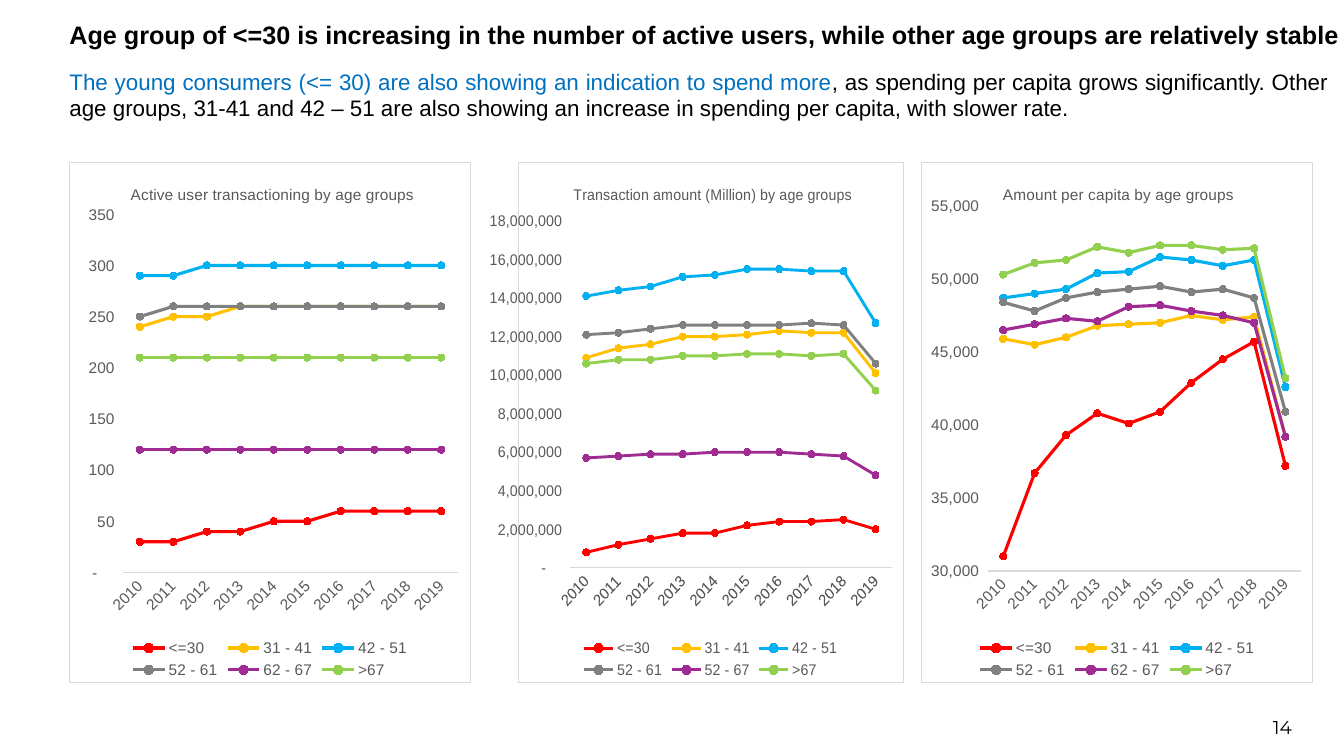
import pptx
import pptx.chart.data
import pptx.dml.color
import pptx.enum.chart
import pptx.enum.text
import pptx.oxml
import pptx.oxml.ns
import pptx.util
from pptx.util import Cm

RGBColor = pptx.dml.color.RGBColor
BLACK = RGBColor(0x00, 0x00, 0x00)
BLUE = RGBColor(0x00, 0x70, 0xC0)
GRAY = RGBColor(0x59, 0x59, 0x59)
SERIES_COLORS = [
    RGBColor(0xFF, 0x00, 0x00), RGBColor(0xFF, 0xC0, 0x00), RGBColor(0x00, 0xB0, 0xF0),
    RGBColor(0x80, 0x80, 0x80), RGBColor(0xA0, 0x2B, 0x93), RGBColor(0x92, 0xD0, 0x50),
]
BORDER = RGBColor(0xD9, 0xD9, 0xD9)

HEADLINE = ("Age group of <=30 is increasing in the number of active users, "
            "while other age groups are relatively stable")
SUMMARY = [
    ("The young consumers (<= 30) are also showing an indication to spend more", BLUE),
    (", as spending per capita grows significantly. Other age groups, 31-41 and 42 – 51 "
     "are also showing an increase in spending per capita, with slower rate.", BLACK),
]
PAGE_NUMBER = "14"
YEARS = [str(year) for year in range(2010, 2020)]
NUMBER_FORMAT = '_(* #,##0_);_(* \\(#,##0\\);_(* "-"??_);_('
CHART_TOP, CHART_HEIGHT = 4.09, 13.13
CHARTS = [
    {
        "title": "Transaction amount (Million) by age groups",
        "left": 12.24, "width": 10.54, "title_at": (0.137, 0.035),
        "plot": (0.135, 0.112, 0.835, 0.667), "year_size": 11.5,
        "minimum": None, "unit": 100000,
        "series": [
            ("<=30", [8, 12, 15, 18, 18, 22, 24, 24, 25, 20]),
            ("31 - 41", [109, 114, 116, 120, 120, 121, 123, 122, 122, 101]),
            ("42 - 51", [141, 144, 146, 151, 152, 155, 155, 154, 154, 127]),
            ("52 - 61", [121, 122, 124, 126, 126, 126, 126, 127, 126, 106]),
            ("52 - 67", [57, 58, 59, 59, 60, 60, 60, 59, 58, 48]),
            (">67", [106, 108, 108, 110, 110, 111, 111, 110, 111, 92]),
        ],
    },
    {
        "title": "Active user transactioning by age groups",
        "left": 1.75, "width": 10.11, "title_at": (0.145, 0.035),
        "plot": (0.133, 0.099, 0.837, 0.689), "year_size": 11,
        "minimum": None, "unit": 10,
        "series": [
            ("<=30", [3, 3, 4, 4, 5, 5, 6, 6, 6, 6]),
            ("31 - 41", [24, 25, 25, 26, 26, 26, 26, 26, 26, 26]),
            ("42 - 51", [29, 29, 30, 30, 30, 30, 30, 30, 30, 30]),
            ("52 - 61", [25, 26, 26, 26, 26, 26, 26, 26, 26, 26]),
            ("62 - 67", [12] * 10),
            (">67", [21] * 10),
        ],
    },
    {
        "title": "Amount per capita by age groups",
        "left": 23.22, "width": 9.88, "title_at": (0.2, 0.035),
        "plot": (0.168, 0.083, 0.802, 0.702), "year_size": 11,
        "minimum": 30000, "unit": 100,
        "series": [
            ("<=30", [310, 367, 393, 408, 401, 409, 429, 445, 457, 372]),
            ("31 - 41", [459, 455, 460, 468, 469, 470, 475, 472, 474, 392]),
            ("42 - 51", [487, 490, 493, 504, 505, 515, 513, 509, 513, 426]),
            ("52 - 61", [484, 478, 487, 491, 493, 495, 491, 493, 487, 409]),
            ("62 - 67", [465, 469, 473, 471, 481, 482, 478, 475, 470, 392]),
            (">67", [503, 511, 513, 522, 518, 523, 523, 520, 521, 432]),
        ],
    },
]


def apply(target, values):
    """Set every attribute named in a dict of format values."""
    for name, value in values.items():
        setattr(target, name, value)


def format_font(font, size, color, bold=False, name="Arial"):
    """Give a font its face, size, weight and colour."""
    apply(font, {"name": name, "size": pptx.util.Pt(size), "bold": bold})
    font.color.rgb = color


def format_line(line, color, width):
    """Give a line its colour and width."""
    line.color.rgb = color
    line.width = pptx.util.Pt(width)


def fill_text(shape, runs, alignment, anchor, margin, size, spacing=1.0, **font_values):
    """Write coloured runs as the single paragraph of a shape."""
    frame = shape.text_frame
    apply(frame, {
        "word_wrap": True, "auto_size": pptx.enum.text.MSO_AUTO_SIZE.NONE,
        "vertical_anchor": anchor, "margin_left": 0, "margin_right": 0,
        "margin_top": Cm(margin), "margin_bottom": Cm(margin),
    })
    paragraph = frame.paragraphs[0]
    apply(paragraph, {"alignment": alignment, "line_spacing": spacing})
    for text, color in runs:
        run = paragraph.add_run()
        run.text = text
        format_font(run.font, size, color, **font_values)


def set_layout(element, position, inner=False):
    """Place a chart part at fractions of the chart area."""
    tag = pptx.oxml.ns.qn("c:layout")
    for previous in element.findall(tag):
        element.remove(previous)
    names = ("x", "y", "w", "h")[:len(position)]
    target = '<c:layoutTarget val="inner"/>' if inner else ""
    modes = "".join(f'<c:{name}Mode val="edge"/>' for name in names[:2])
    places = "".join(f'<c:{name} val="{value}"/>' for name, value in zip(names, position))
    layout = pptx.oxml.parse_xml(
        f'<c:layout {pptx.oxml.ns.nsdecls("c")}><c:manualLayout>'
        f'{target}{modes}{places}</c:manualLayout></c:layout>')
    element.insert(0 if inner else 1, layout)


def add_border(chart):
    """Outline the chart area with a thin line."""
    chart_element = chart._chartSpace.find(pptx.oxml.ns.qn("c:chart"))
    chart_element.addnext(pptx.oxml.parse_xml(
        f'<c:spPr {pptx.oxml.ns.nsdecls("c", "a")}><a:noFill/><a:ln w="9525">'
        f'<a:solidFill><a:srgbClr val="{BORDER}"/></a:solidFill></a:ln></c:spPr>'))


def format_axes(chart, content):
    """Style the year axis and the value axis."""
    for axis, size in ((chart.category_axis, content["year_size"]), (chart.value_axis, 11)):
        apply(axis, {
            "has_major_gridlines": False,
            "major_tick_mark": pptx.enum.chart.XL_TICK_MARK.NONE,
            "minor_tick_mark": pptx.enum.chart.XL_TICK_MARK.NONE,
        })
        format_font(axis.tick_labels.font, size, GRAY)
    years, values = chart.category_axis, chart.value_axis
    format_line(years.format.line, BORDER, 0.75)
    years._element.txPr.bodyPr.set("rot", "-2700000")
    values.format.line.fill.background()
    values.minimum_scale = content["minimum"]
    apply(values.tick_labels, {"number_format": NUMBER_FORMAT, "number_format_is_linked": False})


def add_line_chart(slide, content):
    """Add one chart of the age groups over the years."""
    data = pptx.chart.data.CategoryChartData()
    data.categories = YEARS
    for name, values in content["series"]:
        data.add_series(name, [value * content["unit"] for value in values])
    chart = slide.shapes.add_chart(
        pptx.enum.chart.XL_CHART_TYPE.LINE_MARKERS, Cm(content["left"]), Cm(CHART_TOP),
        Cm(content["width"]), Cm(CHART_HEIGHT), data).chart
    format_font(chart.font, 11, BLACK)
    add_border(chart)
    chart.has_title = True
    paragraph = chart.chart_title.text_frame.paragraphs[0]
    run = paragraph.add_run()
    run.text = content["title"]
    format_font(run.font, 11, GRAY)
    set_layout(chart.chart_title._element, content["title_at"])
    set_layout(chart._chartSpace.chart.plotArea, content["plot"], inner=True)
    format_axes(chart, content)
    chart.has_legend = True
    apply(chart.legend, {"position": pptx.enum.chart.XL_LEGEND_POSITION.BOTTOM,
                         "include_in_layout": False})
    format_font(chart.legend.font, 11, GRAY)
    chart.plots[0].vary_by_categories = False
    for series, color in zip(chart.plots[0].series, SERIES_COLORS):
        series.smooth = False
        format_line(series.format.line, color, 2.25)
        marker = series.marker
        apply(marker, {"style": pptx.enum.chart.XL_MARKER_STYLE.CIRCLE, "size": 5})
        marker.format.fill.solid()
        marker.format.fill.fore_color.rgb = color
        format_line(marker.format.line, color, 0.75)


def main():
    """Build the slide and save it."""
    presentation = pptx.Presentation()
    apply(presentation, {"slide_width": Cm(33.87), "slide_height": Cm(19.05)})
    slide = presentation.slides.add_slide(presentation.slide_layouts[5])
    align, anchor = pptx.enum.text.PP_ALIGN, pptx.enum.text.MSO_ANCHOR
    title = slide.shapes.title
    apply(title, {"left": Cm(1.75), "top": Cm(0.25), "width": Cm(32.44), "height": Cm(1.27)})
    fill_text(title, [(HEADLINE, BLACK)], align.JUSTIFY, anchor.BOTTOM, 0.25, 18, 0.9, bold=True)
    summary = slide.shapes.add_textbox(Cm(1.75), Cm(2.01), Cm(31.72), Cm(1.3))
    fill_text(summary, SUMMARY, align.JUSTIFY, anchor.BOTTOM, 0.25, 16)
    number = slide.shapes.add_textbox(Cm(24.94), Cm(17.81), Cm(7.62), Cm(1.02))
    fill_text(number, [(PAGE_NUMBER, BLACK)], align.RIGHT, anchor.MIDDLE, 0.18, 13.3,
              name="Montserrat")
    for content in CHARTS:
        add_line_chart(slide, content)
    presentation.save("out.pptx")


if __name__ == "__main__":
    main()
